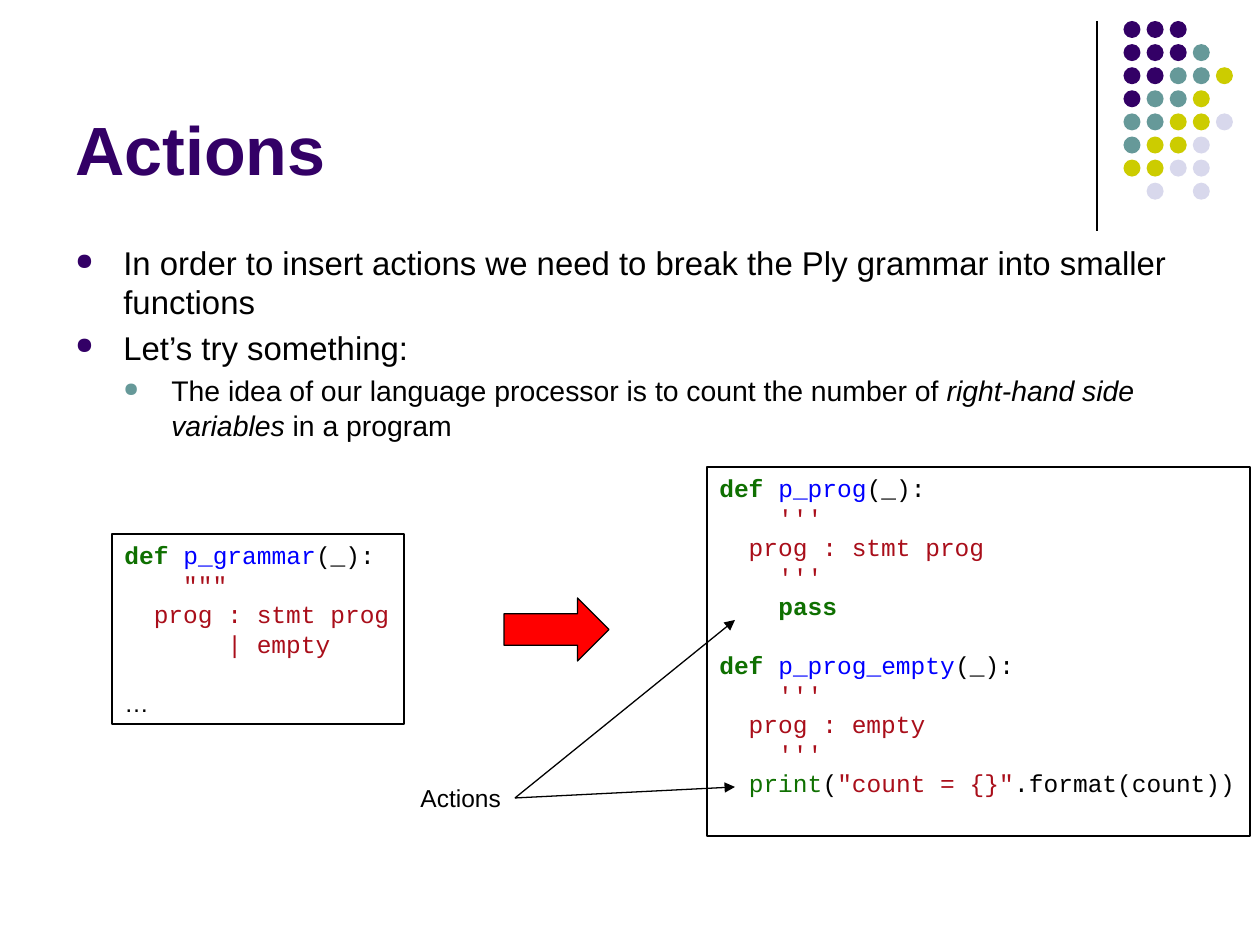
from pptx import Presentation
from pptx.dml.color import RGBColor
from pptx.enum.shapes import MSO_CONNECTOR, MSO_SHAPE
from pptx.enum.text import MSO_ANCHOR
from pptx.oxml.ns import qn
from pptx.util import Emu, Pt
from lxml.etree import SubElement

INK, PLUM, TEAL, LIME, MIST = "000000", "330066", "669999", "CCCC00", "D8D8EC"
KEY, NAME, TEXT = "0F7001", "0000FF", "A90E1A"
RED = "FF0000"


def px(n):
    return Emu(round(n * 914400 / 126))


def color(code):
    return RGBColor.from_string(code)


class Deck:
    sans, mono = "Arial", "Courier New"
    stroke = Pt(0.75)

    def __init__(self):
        self.file = Presentation()
        self.file.slide_width, self.file.slide_height = px(1260), px(945)
        self.slide = self.file.slides.add_slide(self.file.slide_layouts[6])

    def shape(self, kind, x, y, w, h, fill=None, line=None):
        item = self.slide.shapes.add_shape(kind, px(x), px(y), px(w), px(h))
        item.shadow.inherit = False
        if fill:
            item.fill.solid()
            item.fill.fore_color.rgb = color(fill)
        else:
            item.fill.background()
        if line:
            item.line.color.rgb = color(line)
            item.line.width = self.stroke
        else:
            item.line.fill.background()
        return item

    def font(self, para, size, face=None, code=INK, bold=False):
        font = para.font
        font.name, font.size, font.bold = face or self.sans, Pt(size), bold
        font.color.rgb = color(code)

    def text(self, x, y, w, h, wrap=True):
        box = self.slide.shapes.add_textbox(px(x), px(y), px(w), px(h))
        box.text_frame.word_wrap = wrap
        return box

    def label(self, words, x, y, w, h, size, code=INK, bold=False):
        box = self.text(x, y, w, h, wrap=False)
        box.text_frame.vertical_anchor = MSO_ANCHOR.BOTTOM
        para = box.text_frame.paragraphs[0]
        para.text = words
        self.font(para, size, code=code, bold=bold)
        return box

    def list(self, items, x, y, w, h):
        frame = self.text(x, y, w, h).text_frame
        for i, (level, runs) in enumerate(items):
            para = frame.add_paragraph() if i else frame.paragraphs[0]
            size, pitch, dot = [(18.8, 22.3, PLUM), (16.2, 20, TEAL)][level]
            para.level = level
            para.line_spacing = Pt(pitch)
            para.space_before = Pt(size * 0.2 if i else 0)
            props = para._p.get_or_add_pPr()
            props.set("marL", str(px(48 * (level + 1))))
            props.set("indent", str(px(-48)))
            tint = SubElement(props, qn("a:buClr"))
            SubElement(tint, qn("a:srgbClr"), val=dot)
            SubElement(props, qn("a:buSzPct"), val="70000")
            SubElement(props, qn("a:buChar"), char="●")
            self.font(para, size)
            for words, slant in runs:
                run = para.add_run()
                run.text = words
                if slant:
                    run.font.italic = True

    def code(self, lines, x, y, w, h):
        frame = self.shape(MSO_SHAPE.RECTANGLE, x, y, w, h, line=INK).text_frame
        frame.word_wrap = False
        frame.vertical_anchor = MSO_ANCHOR.TOP
        for i, line in enumerate(lines):
            para = frame.add_paragraph() if i else frame.paragraphs[0]
            para.alignment = 1
            para.line_spacing = Pt(16.86)
            face = self.sans if line == [("…", INK)] else self.mono
            self.font(para, 14, face)
            for words, tone in line:
                run = para.add_run()
                run.text = words
                run.font.color.rgb = color(tone)
                if words.strip() in ("def", "pass"):
                    run.font.bold = True

    def line(self, x1, y1, x2, y2, start=None):
        item = self.slide.shapes.add_connector(
            MSO_CONNECTOR.STRAIGHT, px(x1), px(y1), px(x2), px(y2))
        item.line.color.rgb = color(INK)
        item.line.width = self.stroke
        if start is not None:
            item.begin_connect(start, 3)
            SubElement(item.line._get_or_add_ln(), qn("a:tailEnd"), type="triangle")
        SubElement(item._element.spPr, qn("a:effectLst"))


def head(name):
    return [("def ", KEY), (name, NAME), ("(_):", INK)]


def doc(words):
    return [(words, TEXT)]


def main():
    deck = Deck()

    # Corner rule and dot grid
    deck.line(1097, 21, 1097, 231)
    tones = {"p": PLUM, "t": TEAL, "l": LIME, "m": MIST}
    rows = ["ppp", "pppt", "ppttl", "pttl", "ttllm", "tllm", "llmm", " m m"]
    for r, row in enumerate(rows):
        for c, key in enumerate(row):
            if key in tones:
                deck.shape(MSO_SHAPE.OVAL, 1123.5 + 23.1 * c, 21 + 23.1 * r,
                           17, 17, fill=tones[key])

    # Title and bullets
    deck.label("Actions", 63, 16, 1040, 179, 39, PLUM, bold=True)
    deck.list([
        (0, [("In order to insert actions we need to break the Ply grammar "
              "into smaller functions", False)]),
        (0, [("Let’s try something:", False)]),
        (1, [("The idea of our language processor is to count the number of ", False),
             ("right-hand side variables", True), (" in a program", False)]),
    ], 63, 237, 1134, 181)

    # Code before and after
    deck.code([head("p_grammar"), doc('    """'), doc("  prog : stmt prog"),
               doc("       | empty"), [], [("…", INK)]], 112, 534, 292, 190)
    quote = doc("    '''")
    deck.code([
        head("p_prog"), quote, doc("  prog : stmt prog"), quote,
        [("    ", INK), ("pass", KEY)], [],
        head("p_prog_empty"), quote, doc("  prog : empty"), quote,
        [("  ", INK), ("print", KEY), ("(", INK), ('"count = {}"', TEXT),
         (".format(count))", INK)],
    ], 707, 467, 543, 369)
    deck.shape(MSO_SHAPE.RIGHT_ARROW, 504, 598, 105, 63, fill=RED, line=INK)

    # Pointers to the actions
    note = deck.label("Actions", 408, 777, 107, 42, 14)
    for y in (620, 787):
        deck.line(515, 798, 735, y, start=note)

    deck.file.save("out.pptx")


if __name__ == "__main__":
    main()
